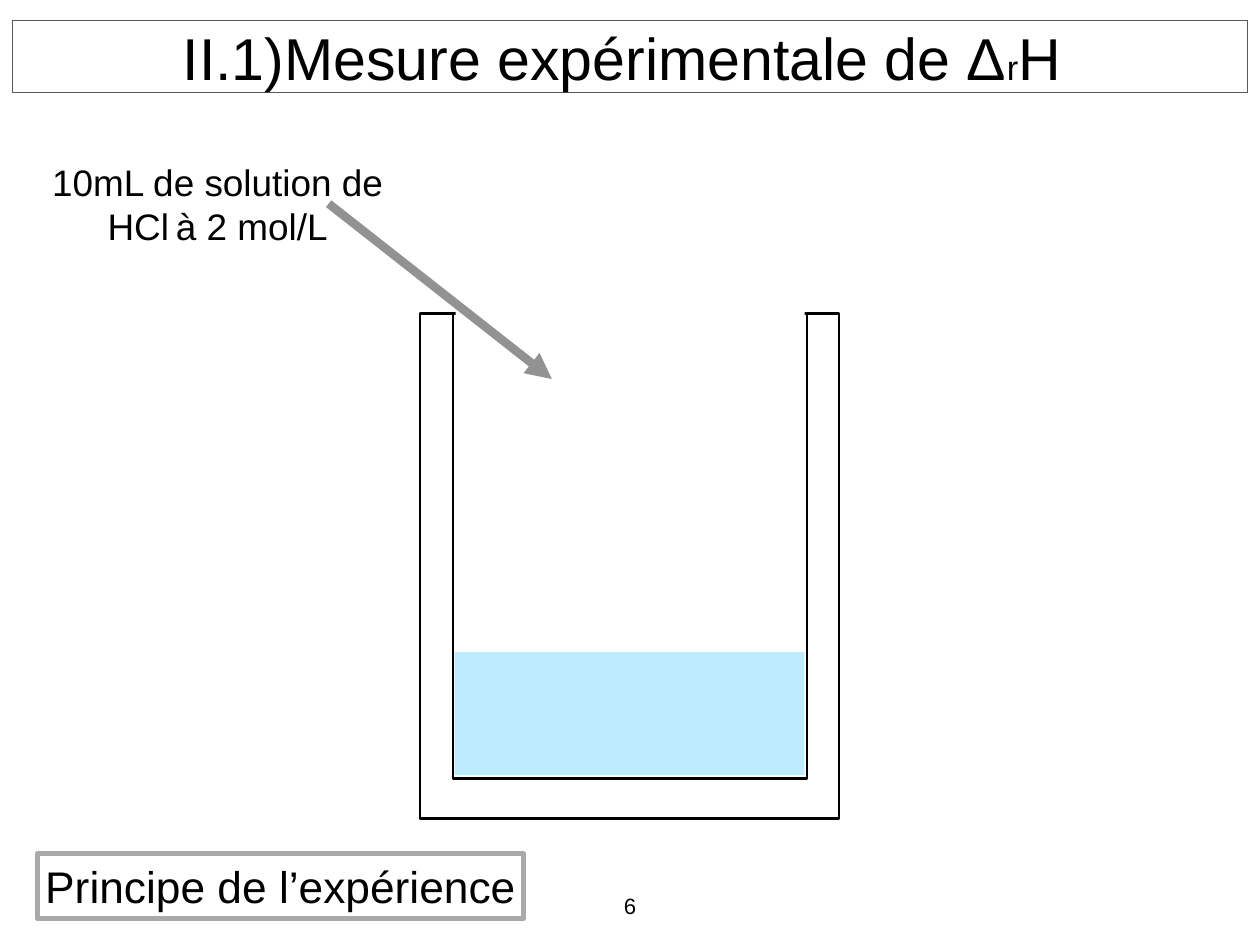
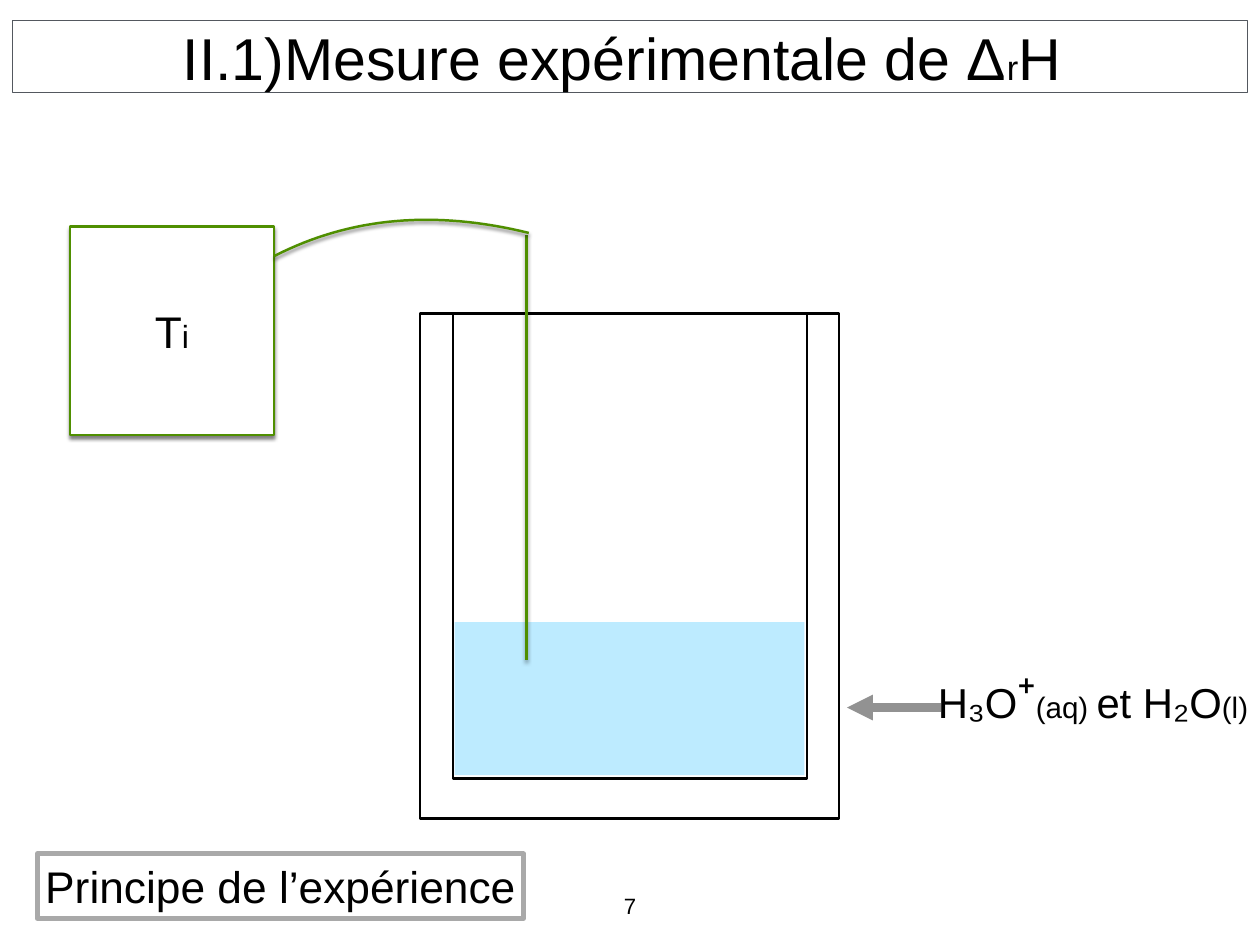
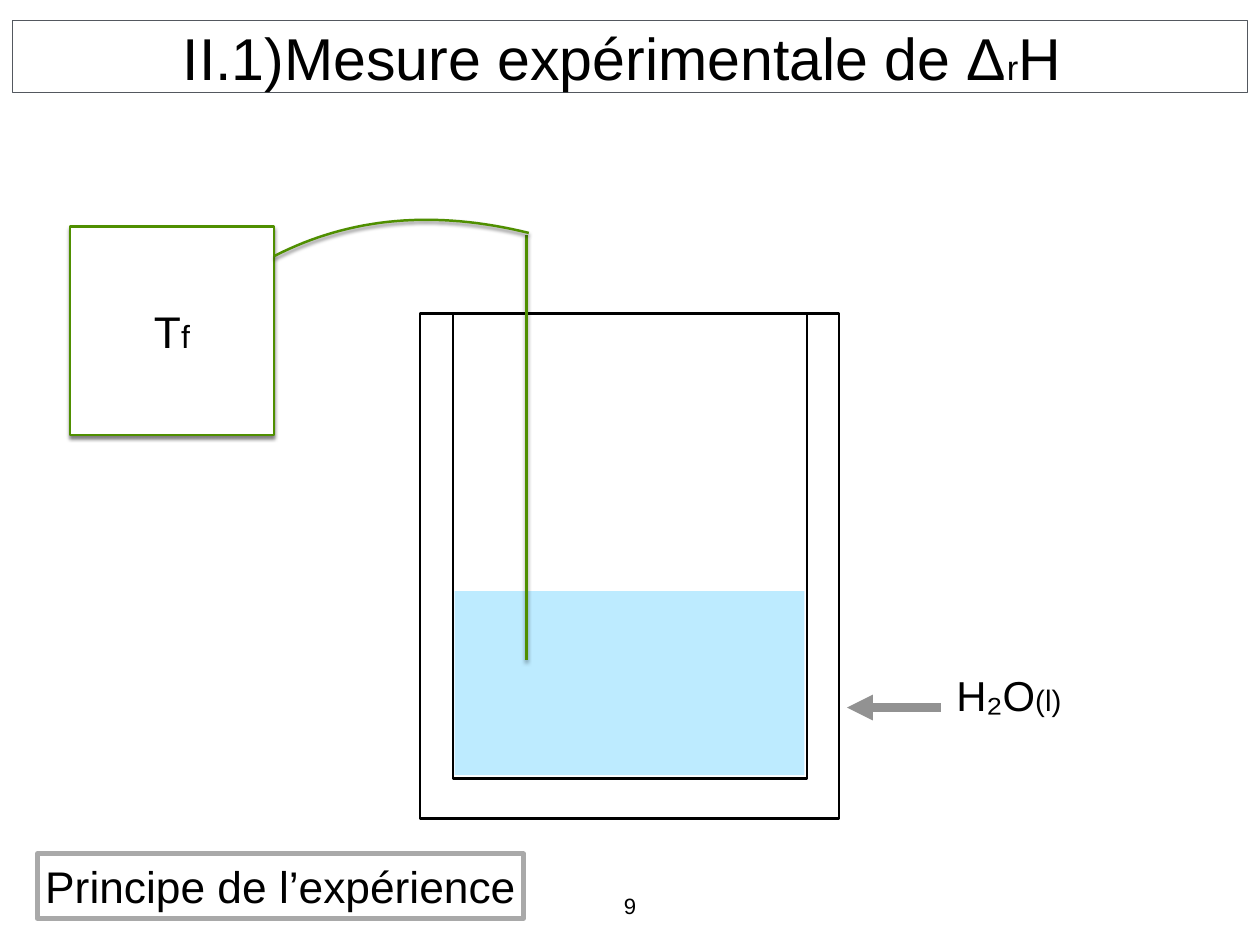
from dataclasses import dataclass

from lxml.etree import SubElement
from pptx import Presentation
from pptx.dml.color import RGBColor
from pptx.enum.shapes import MSO_CONNECTOR as Connector, MSO_SHAPE as Preset
from pptx.enum.text import MSO_ANCHOR as Anchor, MSO_AUTO_SIZE as AutoSize, PP_ALIGN as Align
from pptx.oxml.ns import qn
from pptx.util import Cm, Pt


@dataclass(frozen=True)
class Theme:
    font: str = "Arial"
    ink: str = "000000"
    paper: str = "FFFFFF"
    title_frame: str = "53585F"
    caption_frame: str = "A9A9A9"
    arrow: str = "929292"
    probe: str = "4F8F00"
    liquid: str = "76D6FF"
    title: int = 48
    title_index: int = 28
    caption: int = 36
    formula: int = 34
    charge: int = 44
    state: int = 24
    label: int = 30
    label_gap: int = 20
    reading: int = 36
    reading_index: int = 26
    number: int = 18


theme = Theme()


def write(shape, runs, anchor=Anchor.MIDDLE, inset=0, wrap=True, grow=False, indent=0):
    frame = shape.text_frame
    frame.word_wrap = wrap
    frame.auto_size = AutoSize.SHAPE_TO_FIT_TEXT if grow else AutoSize.NONE
    frame.vertical_anchor = anchor
    frame.margin_left = frame.margin_right = Cm(inset)
    frame.margin_top = frame.margin_bottom = Cm(inset)
    paragraph = frame.paragraphs[0]
    paragraph.alignment = Align.CENTER
    if indent:
        paragraph._p.get_or_add_pPr().set("indent", str(Cm(indent)))
    for text, size in runs:
        run = paragraph.add_run()
        run.text = text
        run.font.name = theme.font
        run.font.size = Pt(size)
        run.font.color.rgb = RGBColor.from_string(theme.ink)


def paint(shape, fill=None, opacity=100, line=None, width=2, arrow=False, shadow=False):
    properties = shape._element.spPr
    if fill:
        shape.fill.solid()
        shape.fill.fore_color.rgb = RGBColor.from_string(fill)
        if opacity < 100:
            color = properties.find(qn("a:solidFill"))[0]
            SubElement(color, qn("a:alpha"), val=str(opacity * 1000))
    elif hasattr(shape, "fill"):
        shape.fill.background()
    if line:
        shape.line.color.rgb = RGBColor.from_string(line)
        shape.line.width = Pt(width)
    else:
        shape.line.fill.background()
    if arrow:
        SubElement(properties.find(qn("a:ln")), qn("a:tailEnd"), type="triangle")
    effects = SubElement(properties, qn("a:effectLst"))
    if shadow:
        outer = SubElement(effects, qn("a:outerShdw"), blurRad=str(Pt(3)), dist=str(Pt(2)),
                           dir="5400000", rotWithShape="0")
        color = SubElement(outer, qn("a:srgbClr"), val=theme.ink)
        SubElement(color, qn("a:alpha"), val="50000")


title_runs = [("II.1)Mesure expérimentale de Δ", theme.title), ("r", theme.title_index),
              ("H ", theme.title)]
acid_runs = [("10mL de solution de HCl", theme.label), (" ", theme.label_gap),
             ("à 2 mol/L", theme.label)]
ions_runs = [("H₃O", theme.formula), ("⁺", theme.charge), ("(aq) ", theme.state),
             ("et H₂O", theme.formula), ("(l) ", theme.state)]
water_runs = [("H₂O", theme.formula), ("(l) ", theme.state)]

pouring_arrow = (9.42, 5.84, 15.82, 10.87)
content_arrow = (26.97, 20.29, 24.28, 20.29)

steps = [
    dict(number="6", level=3.53, index=None, runs=acid_runs, indent=0,
         box=(0.41, 4.52, 11.66, 2.64), arrow=pouring_arrow),
    dict(number="7", level=4.39, index="i", runs=ions_runs, indent=0.64,
         box=(25.3, 18.9, 11.66, 2.16), arrow=content_arrow),
    dict(number="9", level=5.28, index="f", runs=water_runs, indent=0.64,
         box=(22.89, 19.05, 11.66, 1.73), arrow=content_arrow),
]

vessel_walls = [(12.04, 8.99, 12.01, 14.48), (12.98, 8.99, 10.16, 13.34)]
liquid_bottom = 22.23
cable_x = (7.87, 10.06, 12.47, 15.16)
cable_y = (7.34, 6.22, 6.02, 6.68)
segments = 32
cable = []
for position in range(segments + 1):
    t = position / segments
    weights = ((1 - t) ** 3, 3 * t * (1 - t) ** 2, 3 * t ** 2 * (1 - t), t ** 3)
    cable.append(tuple(Cm(sum(weight * value for weight, value in zip(weights, values)))
                       for values in (cable_x, cable_y)))

presentation = Presentation()
presentation.slide_width = Cm(36.12)
presentation.slide_height = Cm(27.1)

for step in steps:
    slide = presentation.slides.add_slide(presentation.slide_layouts[5])
    shapes = slide.shapes

    title = shapes.title
    title.left, title.top, title.width, title.height = map(Cm, (0.36, 0.58, 35.4, 2.08))
    paint(title, line=theme.title_frame, width=1)
    write(title, title_runs, grow=True)

    number = shapes.add_textbox(*map(Cm, (17.73, 25.6, 0.66, 0.79)))
    write(number, [(step["number"], theme.number)], anchor=Anchor.TOP)

    label = shapes.add_textbox(*map(Cm, step["box"]))
    write(label, step["runs"], inset=0.15, grow=True, indent=step["indent"])

    caption = shapes.add_shape(Preset.RECTANGLE, *map(Cm, (1.07, 24.49, 13.94, 1.85)))
    paint(caption, line=theme.caption_frame, width=4)
    write(caption, [("Principe de l’expérience", theme.caption)], wrap=False, grow=True)

    for box in vessel_walls:
        wall = shapes.add_shape(Preset.RECTANGLE, *map(Cm, box))
        paint(wall, line=theme.ink)

    level = step["level"]
    liquid = shapes.add_shape(Preset.RECTANGLE, Cm(13.03), Cm(liquid_bottom - level),
                              Cm(10.03), Cm(level))
    paint(liquid, fill=theme.liquid, opacity=48)

    if step["index"]:
        probe = shapes.add_connector(Connector.STRAIGHT, *map(Cm, (15.09, 18.92, 15.09, 6.73)))
        paint(probe, line=theme.probe, shadow=True)
        display = shapes.add_shape(Preset.RECTANGLE, *map(Cm, (2.01, 6.5, 5.84, 5.97)))
        paint(display, fill=theme.paper, line=theme.probe, shadow=True)
        write(display, [("T", theme.reading), (step["index"], theme.reading_index)])
        builder = shapes.build_freeform(*cable[0])
        builder.add_line_segments(cable[1:], close=False)
        paint(builder.convert_to_shape(), line=theme.probe, shadow=True)
    else:
        opening = shapes.add_shape(Preset.RECTANGLE, *map(Cm, (13.06, 7.42, 10.01, 3.53)))
        paint(opening, fill=theme.paper)

    arrow = shapes.add_connector(Connector.STRAIGHT, *map(Cm, step["arrow"]))
    paint(arrow, line=theme.arrow, width=7, arrow=True)

presentation.save("out.pptx")
